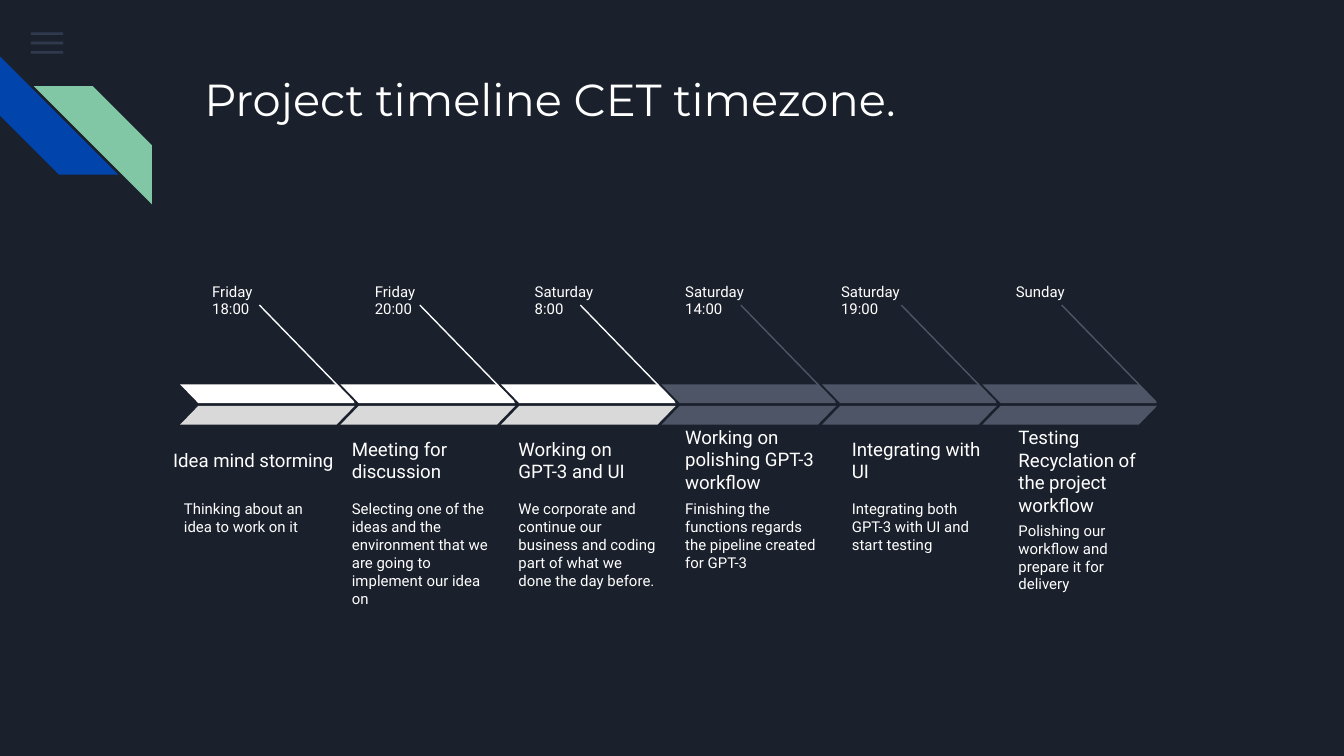
from dataclasses import dataclass

from lxml import etree
from pptx import Presentation
from pptx.dml.color import RGBColor
from pptx.enum.shapes import MSO_CONNECTOR, MSO_SHAPE
from pptx.enum.text import MSO_ANCHOR, MSO_AUTO_SIZE, PP_ALIGN
from pptx.oxml.ns import qn
from pptx.util import Inches, Pt

RECT = MSO_SHAPE.RECTANGLE
STRIPE = MSO_SHAPE.DIAGONAL_STRIPE
SLANT = MSO_SHAPE.PARALLELOGRAM
LINE = MSO_CONNECTOR.STRAIGHT
TOP = MSO_ANCHOR.TOP
BOTTOM = MSO_ANCHOR.BOTTOM
FIXED = MSO_AUTO_SIZE.NONE
LEFT = PP_ALIGN.LEFT

NIGHT = "1B212C"
WHITE = "FFFFFF"
SILVER = "D9D9D9"
SLATE = "4E5567"
STEEL = "55688B"
BLUE = "0145AC"
GREEN = "82C7A5"

START = 1.34
PITCH = (7.31 - START) / 5
COLUMN = 1.24


@dataclass
class Box:
    left: float
    top: float
    width: float
    height: float

    def lengths(self) -> list:
        return [Inches(v) for v in (self.left, self.top, self.width, self.height)]


@dataclass
class Step:
    date: str
    date_left: float
    date_width: float
    head: str
    head_top: float
    body: str
    body_top: float = 3.62
    body_height: float = 0.73
    done: bool = False


STEPS = [
    Step("Friday 18:00", 1.48, 0.59, "Idea mind storming", 3.17,
         "Thinking about an idea to work on it", done=True),
    Step("Friday 20:00", 2.69, 0.59, "Meeting for discussion", 3.25,
         "Selecting one of the ideas and the environment that we are going "
         "to implement our idea on", body_height=0.96, done=True),
    Step("Saturday 8:00", 3.88, 0.7, "Working on GPT-3 and UI", 3.25,
         "We corporate and continue our business and coding part of what we "
         "done the day before.", done=True),
    Step("Saturday 14:00", 5, 0.67, "Working on polishing GPT-3 workflow", 3.33,
         "Finishing the functions regards the pipeline created for GPT-3"),
    Step("Saturday 19:00", 6.16, 0.7, "Integrating with UI", 3.25,
         "Integrating both GPT-3 with UI and start testing"),
    Step("Sunday", 7.46, 0.59, "Testing Recyclation of the project workflow", 3.5,
         "Polishing our workflow and prepare it for delivery", body_top=3.78),
]


def paint(color, code: str) -> None:
    color.rgb = RGBColor.from_string(code)


def write(frame, text: str, size: float, font: str, anchor=TOP, after: float = 0) -> None:
    frame.word_wrap = True
    frame.auto_size = FIXED
    frame.vertical_anchor = anchor
    frame.margin_left = frame.margin_right = Inches(0.1)
    frame.margin_top = frame.margin_bottom = Inches(0.1)
    para = frame.paragraphs[0]
    para.alignment = LEFT
    para.space_before = Pt(0)
    para.space_after = Pt(after)
    run = para.add_run()
    run.text = text
    run.font.size = Pt(size)
    run.font.name = font
    paint(run.font.color, WHITE)


def label(slide, box: Box, text: str, size: float, anchor=TOP, after: float = 0) -> None:
    shape = slide.shapes.add_textbox(*box.lengths())
    write(shape.text_frame, text, size, "Roboto", anchor, after)


def block(slide, kind, box: Box, code: str, adjust: float | None = None, flip: bool = False):
    shape = slide.shapes.add_shape(kind, *box.lengths())
    shape.shadow.inherit = False
    shape.fill.solid()
    paint(shape.fill.fore_color, code)
    shape.line.fill.background()
    if adjust is not None:
        shape.adjustments[0] = adjust
    if flip:
        shape._element.spPr.find(qn("a:xfrm")).set("flipH", "1")
    return shape


def fade(shape, percent: int) -> None:
    color = shape._element.spPr.find(qn("a:solidFill"))[0]
    etree.SubElement(color, qn("a:alpha")).set("val", str(percent * 1000))


def stem(slide, left: float, code: str) -> None:
    ends = [Inches(v) for v in (left + 0.59, 2.27, left + 1.29, 2.99)]
    line = slide.shapes.add_connector(LINE, *ends)
    line.line.width = Pt(0.75)
    paint(line.line.color, code)
    etree.SubElement(line._element.spPr, qn("a:effectLst"))


def decorate(slide) -> None:
    for row in range(3):
        fade(block(slide, RECT, Box(0.23, 0.24 + 0.07 * row, 0.24, 0.02), STEEL), 36)
    block(slide, STRIPE, Box(0, 0.42, 0.88, 0.88), BLUE, 0.5).rotation = 270
    block(slide, STRIPE, Box(0.25, 0.64, 0.88, 0.88), GREEN, 0.5, flip=True)


def draw(slide, index: int, step: Step) -> None:
    left = 2.52 + COLUMN * (index - 1)
    head = Box(left, step.head_top, COLUMN, 0.44)
    body = Box(left, step.body_top, COLUMN, step.body_height)
    if index == 0:
        head = Box(1.19, step.head_top, 1.44, 0.44)
        body = Box(1.27, step.body_top, 1.28, step.body_height)
    label(slide, Box(step.date_left, 2, step.date_width, 0.23), step.date, 8)
    label(slide, head, step.head, 10, BOTTOM)
    label(slide, body, step.body, 8, after=16)

    edge = START + PITCH * index
    upper, lower = (WHITE, SILVER) if step.done else (SLATE, SLATE)
    stem(slide, edge, upper)
    block(slide, SLANT, Box(edge, 2.86, 1.3, 0.14), upper, 0.97, flip=True)
    block(slide, SLANT, Box(edge, 3.02, 1.3, 0.14), lower, 0.97)


def main() -> None:
    deck = Presentation()
    deck.slide_width = Inches(10)
    deck.slide_height = deck.slide_width * 9 // 16
    slide = deck.slides.add_slide(deck.slide_layouts[5])
    slide.background.fill.solid()
    paint(slide.background.fill.fore_color, NIGHT)
    decorate(slide)
    title = slide.shapes.title
    title.left, title.top, title.width, title.height = Box(1.42, 0.43, 7.7, 1).lengths()
    write(title.text_frame, "Project timeline CET timezone.", 24, "Montserrat")
    for index, step in enumerate(STEPS):
        draw(slide, index, step)
    deck.save("out.pptx")


if __name__ == "__main__":
    main()
